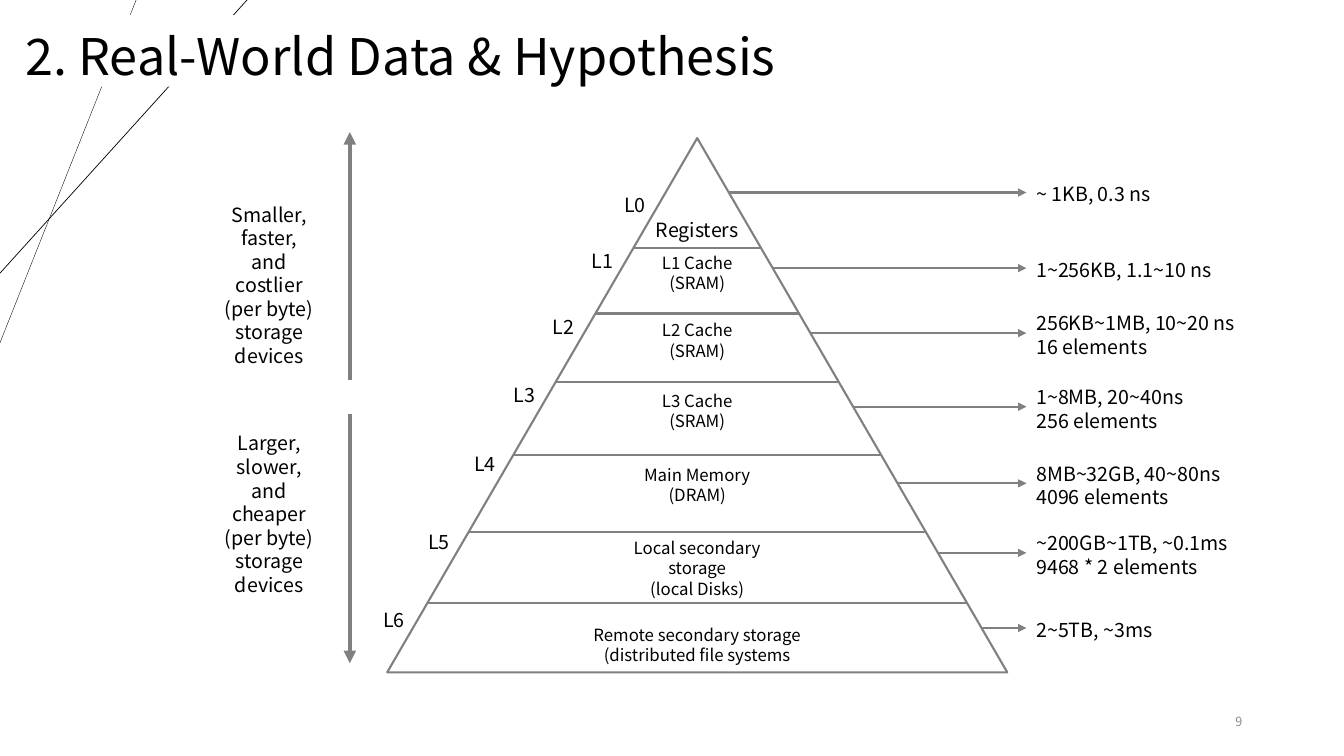
from lxml import etree
from pptx import Presentation
from pptx.dml.color import RGBColor
from pptx.enum.shapes import MSO_CONNECTOR, MSO_SHAPE
from pptx.enum.text import MSO_ANCHOR, MSO_AUTO_SIZE, PP_ALIGN
from pptx.oxml.ns import qn
from pptx.util import Inches, Pt

STRAIGHT = MSO_CONNECTOR.STRAIGHT
TRIANGLE = MSO_SHAPE.ISOSCELES_TRIANGLE
TOP, MIDDLE = MSO_ANCHOR.TOP, MSO_ANCHOR.MIDDLE
LEFT, CENTER, RIGHT = PP_ALIGN.LEFT, PP_ALIGN.CENTER, PP_ALIGN.RIGHT
NO_AUTOFIT = MSO_AUTO_SIZE.NONE
LEFT_SIDE = 1
TITLE_ONLY = 5

BLACK = RGBColor(0x00, 0x00, 0x00)
WHITE = RGBColor(0xFF, 0xFF, 0xFF)
GRAY = RGBColor(0x80, 0x80, 0x80)
PAGE_GRAY = RGBColor(0x8C, 0x8C, 0x8C)
FONT = "Noto Sans CJK JP"
PAGE_FONT = "Noto Sans CJK KR"

PYRAMID_LEFT, PYRAMID_TOP, PYRAMID_WIDTH, PYRAMID_HEIGHT = 3.84, 1.37, 6.15, 5.3
APEX = PYRAMID_LEFT + PYRAMID_WIDTH / 2
FACTS_LEFT = 10.18
LABEL_WIDTH, LABEL_HEIGHT = 0.45, 0.34
SCALE_X = 3.47

DIVIDERS = [2.46, 3.11, 3.79, 4.51, 5.28, 5.98]

# label top, (name lines, top, width, height, size), (fact lines, top)
LEVELS = [
    (1.84, (["Registers"], 2.09, 1.09, 0.34, 14), (["~ 1KB, 0.3 ns"], 1.74)),
    (2.40, (["L1 Cache", "(SRAM)"], 2.44, 0.91, 0.71, 12),
     (["1~256KB, 1.1~10 ns"], 2.49)),
    (3.06, (["L2 Cache", "(SRAM)"], 3.11, 0.91, 0.71, 12),
     (["256KB~1MB, 10~20 ns", "16 elements"], 3.02)),
    (3.73, (["L3 Cache", "(SRAM)"], 3.81, 0.91, 0.71, 12),
     (["1~8MB, 20~40ns", "256 elements"], 3.75)),
    (4.41, (["Main Memory", "(DRAM)"], 4.54, 1.25, 0.71, 12),
     (["8MB~32GB, 40~80ns", "4096 elements"], 4.51)),
    (5.19, (["Local secondary storage", "(local Disks)"], 5.27, 1.93, 0.71, 12),
     (["~200GB~1TB, ~0.1ms", "9468 * 2 elements"], 5.2)),
    (5.96, (["Remote secondary storage", "(distributed file systems"],
            6.13, 2.27, 0.5, 12),
     (["2~5TB, ~3ms"], 6.06)),
]

# traits, text top, arrow start, arrow tip
TRADE_OFFS = [
    (["Smaller,", "faster,", "and", "costlier"], 1.94, 3.77, 1.31),
    (["Larger,", "slower,", "and", "cheaper"], 4.21, 4.11, 6.58),
]


def half_width(y):
    """Distance from the pyramid's axis to its edge at height y."""
    return (y - PYRAMID_TOP) / PYRAMID_HEIGHT * PYRAMID_WIDTH / 2


class SlideBuilder:
    def __init__(self, slide):
        self.slide = slide

    def set_text(self, shape, lines, size, align, font=FONT, color=BLACK, anchor=TOP):
        frame = shape.text_frame
        frame.text = "\n".join(lines)
        frame.word_wrap = True
        frame.auto_size = NO_AUTOFIT
        frame.vertical_anchor = anchor
        frame.margin_left = frame.margin_right = Inches(0.1)
        frame.margin_top = Pt(3.6 + size * 0.1)
        frame.margin_bottom = Inches(0.05)
        for paragraph in frame.paragraphs:
            paragraph.alignment = align
            paragraph.line_spacing = Pt(size * 1.2)
            paragraph.space_before = Pt(0)
            paragraph.font.name = font
            paragraph.font.size = Pt(size)
            paragraph.font.color.rgb = color

    def title(self, text, left, top, width, height):
        heading = self.slide.shapes.title
        heading.left, heading.top = Inches(left), Inches(top)
        heading.width, heading.height = Inches(width), Inches(height)
        heading.fill.solid()
        heading.fill.fore_color.rgb = WHITE
        self.set_text(heading, [text], 36, LEFT)

    def text(self, lines, left, top, width, height, size=14, align=LEFT, **style):
        box = self.slide.shapes.add_textbox(
            Inches(left), Inches(top), Inches(width), Inches(height))
        self.set_text(box, lines, size, align, **style)
        return box

    def line(self, start, end, weight=1.5, color=GRAY, arrow=False):
        connector = self.slide.shapes.add_connector(
            STRAIGHT, *(Inches(value) for value in (*start, *end)))
        connector.line.color.rgb = color
        connector.line.width = Pt(weight)
        properties = connector._element.spPr
        if arrow:
            etree.SubElement(properties.find(qn("a:ln")),
                             qn("a:tailEnd"), type="triangle")
        etree.SubElement(properties, qn("a:effectLst"))
        return connector

    def backdrop_line(self, start, end, weight):
        """Draw a black line behind everything else, the title included."""
        connector = self.line(start, end, weight, BLACK)
        self.slide.shapes._spTree.insert(2, connector._element)

    def triangle(self, left, top, width, height):
        outline = self.slide.shapes.add_shape(
            TRIANGLE, Inches(left), Inches(top), Inches(width), Inches(height))
        outline.shadow.inherit = False
        outline.fill.background()
        outline.line.color.rgb = GRAY
        outline.line.width = Pt(1.5)


def main():
    deck = Presentation()
    deck.slide_width, deck.slide_height = Inches(13.33), Inches(7.5)
    builder = SlideBuilder(deck.slides.add_slide(deck.slide_layouts[TITLE_ONLY]))

    builder.backdrop_line((1.35, 0), (0, 3.4), 0.25)
    builder.backdrop_line((2.45, 0), (0, 2.71), 0.5)
    builder.title("2. Real-World Data & Hypothesis", 0.15, 0.15, 7.87, 0.71)
    builder.text(["9"], 9.42, 6.95, 3, 0.4, 9, RIGHT,
                 font=PAGE_FONT, color=PAGE_GRAY, anchor=MIDDLE)

    builder.triangle(PYRAMID_LEFT, PYRAMID_TOP, PYRAMID_WIDTH, PYRAMID_HEIGHT)
    for y in DIVIDERS:
        builder.line((APEX - half_width(y), y), (APEX + half_width(y), y))

    for number, (label_top, name, (facts, facts_top)) in enumerate(LEVELS):
        label_right = APEX - half_width(label_top + LABEL_HEIGHT / 2)
        builder.text([f"L{number}"], label_right - LABEL_WIDTH, label_top,
                     LABEL_WIDTH, LABEL_HEIGHT)

        name_lines, name_top, name_width, name_height, size = name
        builder.text(name_lines, APEX - name_width / 2, name_top,
                     name_width, name_height, size, CENTER)

        facts_height = 0.11 + 0.23 * len(facts)
        facts_box = builder.text(facts, FACTS_LEFT, facts_top, 2.54, facts_height)
        y = facts_top + facts_height / 2
        pointer = builder.line((APEX + half_width(y), y), (FACTS_LEFT, y), arrow=True)
        pointer.end_connect(facts_box, LEFT_SIDE)

    for traits, top, start, tip in TRADE_OFFS:
        builder.line((SCALE_X, start), (SCALE_X, tip), 3, arrow=True)
        builder.text(traits + ["(per byte)", "storage", "devices"],
                     2, top, 1.34, 1.75, align=CENTER)

    deck.save("out.pptx")


if __name__ == "__main__":
    main()
